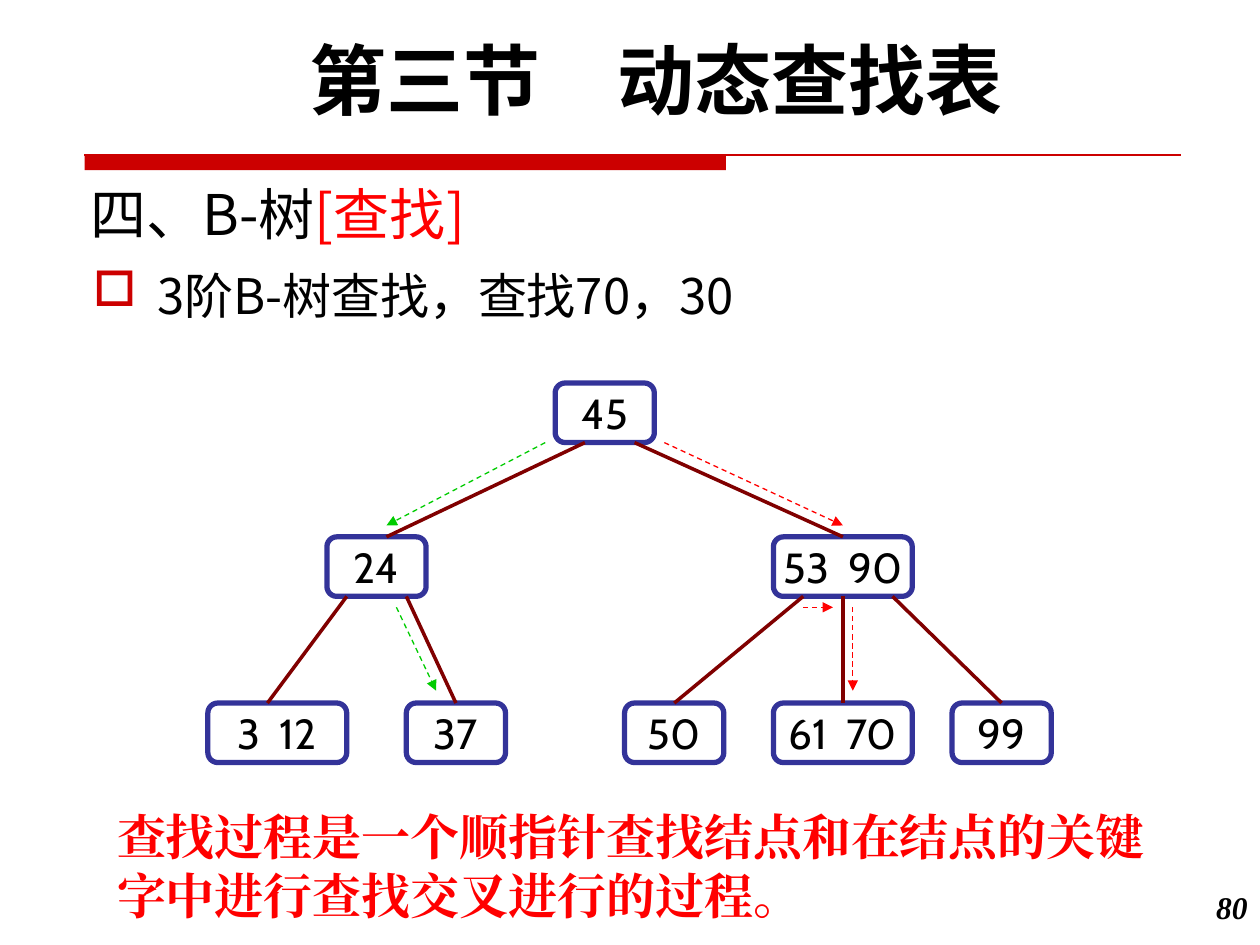
import pptx
import pptx.util
import pptx.dml.color
import pptx.enum.dml
import pptx.enum.shapes
import pptx.enum.text
import pptx.oxml.ns
import pptx.oxml.xmlchemy

Pt = pptx.util.Pt
RGBColor = pptx.dml.color.RGBColor
Align = pptx.enum.text.PP_ALIGN
Anchor = pptx.enum.text.MSO_ANCHOR
Shape = pptx.enum.shapes.MSO_SHAPE

BLACK = RGBColor(0x00, 0x00, 0x00)
RED = RGBColor(0xFF, 0x00, 0x00)
GREEN = RGBColor(0x00, 0xCC, 0x00)
CRIMSON = RGBColor(0xCC, 0x00, 0x00)
MAROON = RGBColor(0x80, 0x00, 0x00)
INDIGO = RGBColor(0x33, 0x33, 0x99)

SANS = "Noto Sans CJK SC"
CABIN = "Cabin"
TIMES = "Times New Roman"

UNIT = 5.67
NODE_HEIGHT = 6
LEVELS = (0, 15.5, 32.25)
NODES = {
    "45": (35, 0, 10),
    "24": (12, 1, 10),
    "53  90": (57, 1, 14),
    "3  12": (0, 2, 14),
    "37": (20, 2, 10),
    "50": (42, 2, 10),
    "61  70": (57, 2, 14),
    "99": (75, 2, 10),
}
EDGES = (
    ("45", 38, "24", 18),
    ("45", 43, "53  90", 64),
    ("24", 14, "3  12", 6),
    ("24", 20, "37", 25),
    ("53  90", 60, "50", 47),
    ("53  90", 64, "61  70", 64),
    ("53  90", 69, "99", 80),
)
SEARCH_STEPS = (
    (46, 6, 64, 14.35, RED),
    (65, 22.6, 65, 31, RED),
    (60, 22.6, 63, 22.6, RED),
    (34, 6, 18, 14.35, GREEN),
    (19, 22.6, 23, 31, GREEN),
)


def make_element(tag, **attributes):
    """Create a drawing element with the given attributes."""
    element = pptx.oxml.xmlchemy.OxmlElement(tag)
    for name, value in attributes.items():
        element.set(name, value)
    return element


def add_span(para, text, font, size, color=BLACK, bold=False, italic=False):
    """Append one formatted run with the same font for Latin and East Asian text."""
    span = para.add_run()
    span.text = text
    span.font.name = font
    span.font.size = Pt(size)
    span.font.color.rgb = color
    span.font.bold = bold
    span.font.italic = italic
    latin = span.font._element.find(pptx.oxml.ns.qn("a:latin"))
    latin.addnext(make_element("a:ea", typeface=font))


def add_text(page, box, align=Align.LEFT, anchor=Anchor.TOP):
    """Add a wrapping text box and return its first paragraph."""
    frame = page.shapes.add_textbox(*map(Pt, box)).text_frame
    frame.word_wrap = True
    frame.vertical_anchor = anchor
    para = frame.paragraphs[0]
    para.alignment = align
    return para


def add_line(page, start, end, color, width):
    """Add a straight connector without a shadow."""
    line = page.shapes.add_connector(
        pptx.enum.shapes.MSO_CONNECTOR.STRAIGHT, *map(Pt, (*start, *end)))
    line.line.color.rgb = color
    line.line.width = Pt(width)
    line._element.spPr.append(make_element("a:effectLst"))
    return line


def add_header(page, box):
    """Draw the chapter title above a thick bar and a thin rule."""
    left, top = box[:2]
    rule_left, rule_top = left + 6.5, top + 73.5
    bar = page.shapes.add_shape(
        Shape.RECTANGLE, Pt(rule_left), Pt(rule_top), Pt(366.5), Pt(8.6))
    bar.shadow.inherit = False
    bar.fill.solid()
    bar.fill.fore_color.rgb = CRIMSON
    bar.line.fill.background()
    add_line(page, (rule_left, rule_top), (rule_left + 626.4, rule_top), CRIMSON, 0.75)
    para = add_text(page, box, Align.CENTER)
    add_span(para, "第三节　动态查找表", CABIN, 44, bold=True)


def add_topic(page, box):
    """Write the section heading and the bulleted example under it."""
    left, top, width, height = box
    para = add_text(page, (left, top, 491.8, 65.5), anchor=Anchor.BOTTOM)
    add_span(para, "四、B-树", SANS, 32)
    add_span(para, "[查找]", SANS, 32, RED)
    para = add_text(page, (left + 1.4, top + 69.1, width - 1.4, height - 69.1))
    props = para._p.get_or_add_pPr()
    props.set("marL", str(Pt(36.7)))
    props.set("indent", str(Pt(-36.7)))
    color = make_element("a:buClr")
    color.append(make_element("a:srgbClr", val=str(CRIMSON)))
    props.extend((color, make_element("a:buChar", char="□")))
    add_span(para, "3阶B-树查找，查找70，30", SANS, 28)


def add_node(page, box, keys):
    """Draw one tree node holding its keys."""
    node = page.shapes.add_shape(Shape.ROUNDED_RECTANGLE, *map(Pt, box))
    node.shadow.inherit = False
    node.fill.background()
    node.line.color.rgb = INDIGO
    node.line.width = Pt(3)
    frame = node.text_frame
    frame.word_wrap = False
    frame.vertical_anchor = Anchor.MIDDLE
    para = frame.paragraphs[0]
    para.alignment = Align.CENTER
    add_span(para, keys, CABIN, 24)
    return node


def add_tree(page, box):
    """Draw the B-tree with its edges and the two search routes."""
    left, top = box[:2]

    def place(column, row):
        """Turn grid units into a point on the page."""
        return left + column * UNIT, top + row * UNIT

    nodes = {}
    for keys, (column, level, span) in NODES.items():
        size = span * UNIT, NODE_HEIGHT * UNIT
        nodes[keys] = add_node(page, (*place(column, LEVELS[level]), *size), keys)

    for parent, start, child, end in EDGES:
        parent_column, parent_level, parent_span = NODES[parent]
        child_column, child_level, child_span = NODES[child]
        edge = add_line(page, place(start, LEVELS[parent_level] + NODE_HEIGHT),
                        place(end, LEVELS[child_level]), MAROON, 2)
        if start == parent_column + parent_span / 2:
            edge.begin_connect(nodes[parent], 2)
        if end == child_column + child_span / 2:
            edge.end_connect(nodes[child], 0)

    for x1, y1, x2, y2, color in SEARCH_STEPS:
        arrow = add_line(page, place(x1, y1), place(x2, y2), color, 0.75)
        arrow.line.dash_style = pptx.enum.dml.MSO_LINE.DASH
        arrow.line._get_or_add_ln().append(make_element("a:tailEnd", type="triangle"))


def add_summary(page, box):
    """Write the closing statement in red."""
    para = add_text(page, box)
    add_span(para, "查找过程是一个顺指针查找结点和在结点的关键字中进行查找交叉进行的过程。",
             TIMES, 28, RED, bold=True)


def add_page_number(page, box):
    """Write the page number in the corner."""
    para = add_text(page, box, Align.RIGHT)
    add_span(para, "80", TIMES, 18, bold=True, italic=True)


def main():
    """Build the slide and save it."""
    deck = pptx.Presentation()
    deck.slide_width, deck.slide_height = Pt(720), Pt(540)
    page = deck.slides.add_slide(deck.slide_layouts[6])
    add_header(page, (41.8, 15.1, 666, 60.5))
    add_topic(page, (44.6, 79.2, 691.2, 387.4))
    add_tree(page, (118.8, 218.9, 482, 217))
    add_summary(page, (59.8, 457.2, 618.5, 74.9))
    add_page_number(page, (671.8, 504, 48.2, 36))
    deck.save("out.pptx")


if __name__ == "__main__":
    main()
